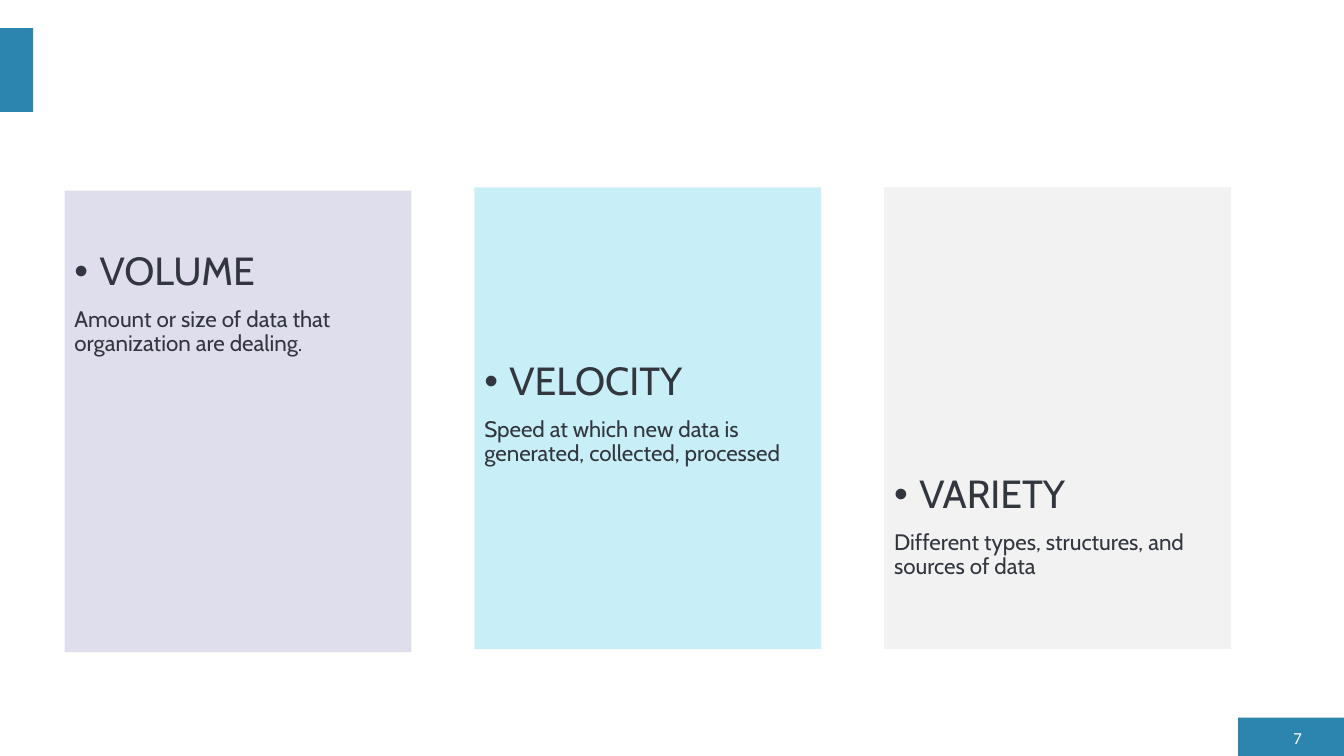
"""Build a slide with three stepped cards: volume, velocity and variety."""
from lxml import etree
from pptx import Presentation
from pptx.dml.color import RGBColor
from pptx.enum.shapes import MSO_SHAPE
from pptx.enum.text import MSO_ANCHOR, PP_ALIGN
from pptx.oxml.ns import qn
from pptx.util import Inches, Pt

RECT = MSO_SHAPE.RECTANGLE
TOP, MIDDLE = MSO_ANCHOR.TOP, MSO_ANCHOR.MIDDLE
LEFT, RIGHT = PP_ALIGN.LEFT, PP_ALIGN.RIGHT
BLUE = RGBColor(0x2C, 0x85, 0xAE)
LILAC = RGBColor(0xDF, 0xDE, 0xEC)
AQUA = RGBColor(0xC8, 0xEF, 0xF7)
GRAY = RGBColor(0xF2, 0xF2, 0xF2)
INK = RGBColor(0x32, 0x36, 0x3F)
WHITE = RGBColor(0xFF, 0xFF, 0xFF)


def add_box(left, top, width, height, fill):
    box = slide.shapes.add_shape(
        RECT, Inches(left), Inches(top), Inches(width), Inches(height))
    box.shadow.inherit = False
    box.fill.solid()
    box.fill.fore_color.rgb = fill
    box.line.fill.background()
    return box


def write(para, text, size, font="Cabin", color=INK, align=LEFT,
          line=0.9, before=0, bullet=False):
    if bullet:
        props = para._p.get_or_add_pPr()
        props.set("marL", str(Inches(0.25)))
        props.set("indent", str(-Inches(0.25)))
        etree.SubElement(props, qn("a:buFont"), typeface="Arial")
        etree.SubElement(props, qn("a:buChar"), char="•")
    para.alignment = align
    para.line_spacing = line
    para.space_before = Pt(before)
    run = para.add_run()
    run.text = text
    run.font.size = Pt(size)
    run.font.name = font
    run.font.color.rgb = color


deck = Presentation()
deck.slide_width, deck.slide_height = Inches(13.33), Inches(7.5)
slide = deck.slides.add_slide(deck.slide_layouts[6])

add_box(12.28, 7.12, 1.05, 0.38, BLUE)
add_box(0, 0.28, 0.33, 0.83, BLUE)

number = slide.shapes.add_textbox(
    Inches(12.6), Inches(7.2), Inches(0.41), Inches(0.23)).text_frame
number.word_wrap = True
number.vertical_anchor = MIDDLE
write(number.paragraphs[0], "7", 12, font="Calibri", color=WHITE,
      align=RIGHT, line=1)

cards = [
    (1.89, LILAC, 1, "VOLUME",
     "Amount or size of data that organization are dealing."),
    (1.86, AQUA, 3, "VELOCITY",
     "Speed at which new data is generated, collected, processed"),
    (1.86, GRAY, 5, "VARIETY",
     "Different types, structures, and sources of data"),
]
for col, (top, fill, step, title, detail) in enumerate(cards):
    frame = add_box(0.64 + col * 4.065, top, 3.44, 4.58, fill).text_frame
    frame.word_wrap = True
    frame.vertical_anchor = TOP
    frame.margin_top = Inches(0.05 + step * 0.56)
    write(frame.paragraphs[0], title, 28, bullet=True)
    write(frame.add_paragraph(), detail, 16, before=10)

deck.save("out.pptx")
